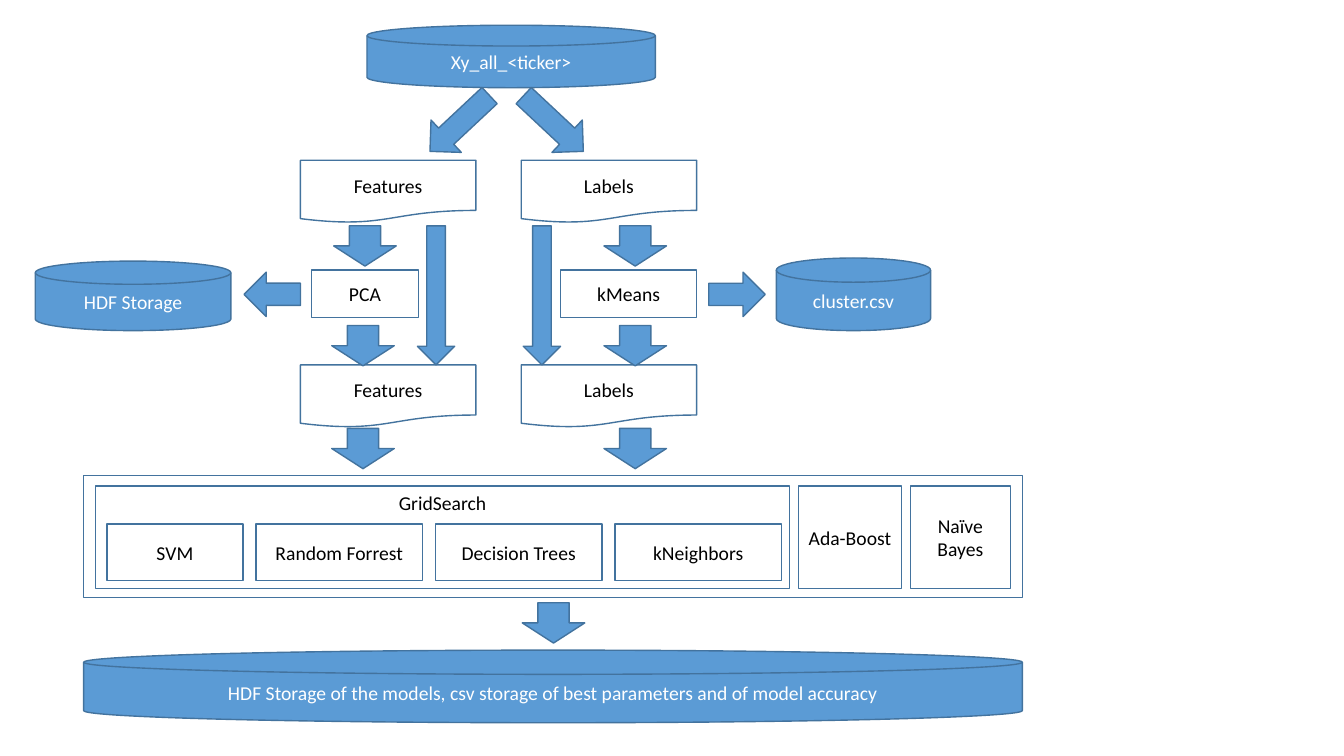
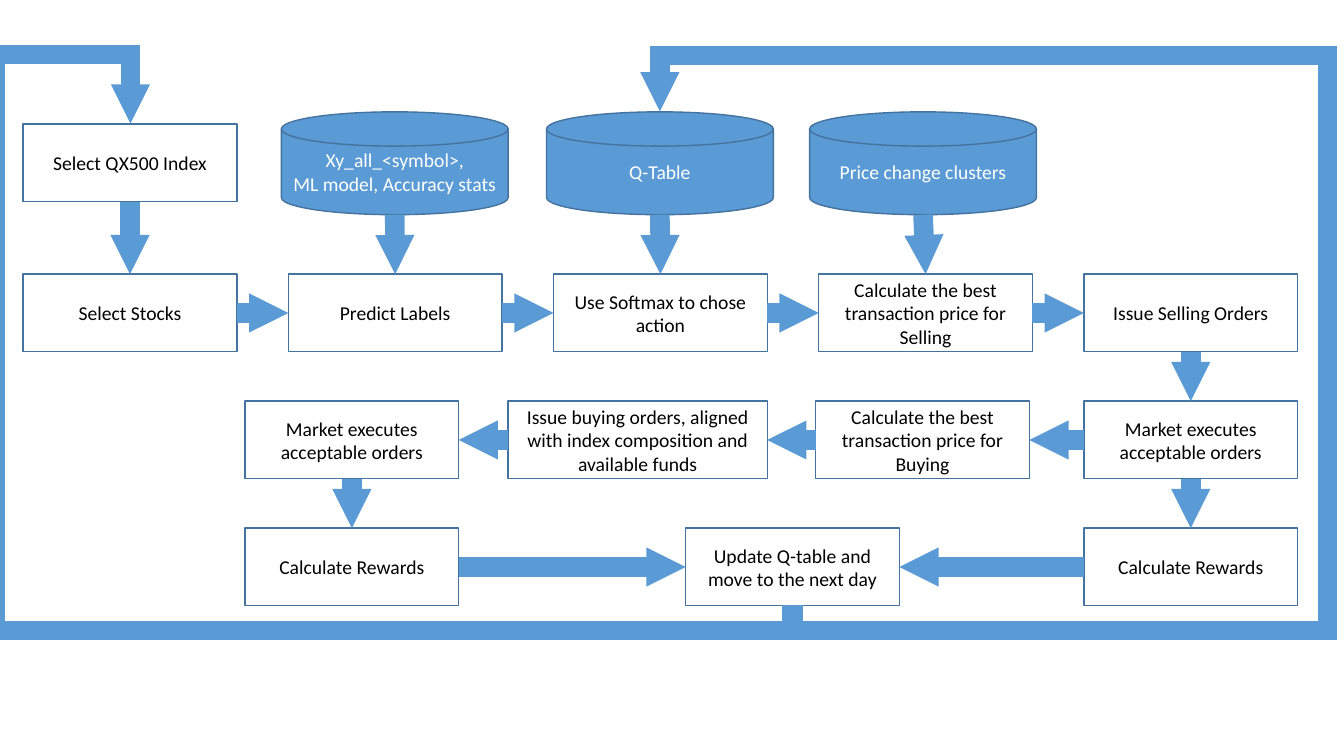
from lxml import etree
from pptx import Presentation
from pptx.dml.color import RGBColor
from pptx.enum.shapes import MSO_CONNECTOR, MSO_SHAPE
from pptx.enum.text import MSO_ANCHOR, PP_ALIGN
from pptx.oxml.ns import qn
from pptx.util import Inches, Pt

RECT = MSO_SHAPE.RECTANGLE
STEP = MSO_SHAPE.FLOWCHART_PROCESS
DISK = MSO_SHAPE.FLOWCHART_MAGNETIC_DISK
PAGE = MSO_SHAPE.FLOWCHART_DOCUMENT
ARROW = MSO_SHAPE.DOWN_ARROW
LINE = MSO_CONNECTOR.STRAIGHT
ELBOW = MSO_CONNECTOR.ELBOW
MIDDLE = MSO_ANCHOR.MIDDLE
TOP = MSO_ANCHOR.TOP
CENTER = PP_ALIGN.CENTER

BLUE, EDGE, WHITE, BLACK = "5B9BD5", "43739E", "FFFFFF", "000000"
FONT = "Calibri"


def paint(fill, tint):
    fill.solid()
    fill.fore_color.rgb = RGBColor.from_string(tint)


def block(text, slide, kind, at, fill=WHITE, ink=BLACK, anchor=MIDDLE, turn=0):
    shape = slide.shapes.add_shape(kind, *map(Inches, at))
    shape.shadow.inherit = False
    shape.rotation = turn
    paint(shape.fill, fill)
    paint(shape.line.fill, EDGE)
    shape.line.width = Pt(1)
    if text:
        frame = shape.text_frame
        frame.word_wrap = True
        frame.vertical_anchor = anchor
        frame.text = text
        for para in frame.paragraphs:
            para.alignment = CENTER
            para.font.name = FONT
            para.font.size = Pt(14)
            paint(para.font.fill, ink)
    return shape


deck = Presentation()
deck.slide_width = Inches(13.33)
deck.slide_height = Inches(7.5)
blank = deck.slide_layouts[6]

train = deck.slides.add_slide(blank)

for text, *at in [
    ("Xy_all_<ticker>", 3.64, 0.25, 2.86, 0.62),
    ("HDF Storage", 0.35, 2.59, 1.94, 0.69),
    ("cluster.csv", 7.7, 2.56, 1.53, 0.72),
    ("HDF Storage of the models, csv storage of best parameters and of model accuracy",
     0.83, 6.45, 9.31, 0.72),
]:
    block(text, train, DISK, at, fill=BLUE, ink=WHITE)

for text, left in [("Features", 2.98), ("Labels", 5.17)]:
    for top in (1.59, 3.62):
        block(text, train, PAGE, (left, top, 1.74, 0.62))

block("PCA", train, STEP, (3.09, 2.68, 1.06, 0.47))
block("kMeans", train, STEP, (5.56, 2.68, 1.35, 0.47))
block("", train, STEP, (0.83, 4.72, 9.31, 1.21))
block("GridSearch", train, STEP, (0.95, 4.82, 6.88, 1.02), anchor=TOP)
block("Ada-Boost", train, STEP, (7.92, 4.82, 1.02, 1.02))
block("Naïve Bayes", train, STEP, (9.03, 4.82, 0.99, 1.02))

left = 1.06
for text, width in [
    ("SVM", 1.35),
    ("Random Forrest", 1.65),
    ("Decision Trees", 1.65),
    ("kNeighbors", 1.65),
]:
    block(text, train, STEP, (left, 5.2, width, 0.56))
    left += width + 0.13

for left, top in [
    (3.31, 2.24), (3.29, 3.23), (3.29, 4.25),
    (5.99, 2.24), (5.99, 3.23), (5.99, 4.25),
    (5.18, 5.98),
]:
    block("", train, ARROW, (left, top, 0.62, 0.4), fill=BLUE)

for left in (4.14, 5.19):
    block("", train, ARROW, (left, 2.24, 0.37, 1.38), fill=BLUE)

for left, top, height, turn in [
    (4.34, 0.82, 0.81, 46.9),
    (5.27, 0.82, 0.81, 313.1),
    (7.09, 2.64, 0.56, 270),
    (2.48, 2.64, 0.56, 90),
]:
    block("", train, ARROW, (left, top, 0.44, height), fill=BLUE, turn=turn)

trade = deck.slides.add_slide(blank)
cols = [0.23 + 2.63 * i for i in range(5)]
rows = [2.72 + 1.26 * i for i in range(3)]
wide, high = 2.12, 0.77

nodes = {}
for name, text, left, top, width in [
    ("index", "Select QX500 Index", cols[0], 1.23, wide),
    ("stocks", "Select Stocks", cols[0], rows[0], wide),
    ("predict", "Predict Labels", cols[1], rows[0], wide),
    ("softmax", "Use Softmax to chose action", cols[2], rows[0], wide),
    ("ask", "Calculate the best transaction price for Selling", cols[3], rows[0], wide),
    ("sell", "Issue Selling Orders", cols[4], rows[0], wide),
    ("sold", "Market executes acceptable orders", cols[4], rows[1], wide),
    ("bid", "Calculate the best transaction price for Buying", 8.09, rows[1], wide),
    ("buy", "Issue buying orders, aligned with index composition and available funds",
     5.04, rows[1], 2.57),
    ("bought", "Market executes acceptable orders", 2.43, rows[1], wide),
    ("gain", "Calculate Rewards", 2.43, rows[2], wide),
    ("profit", "Calculate Rewards", cols[4], rows[2], wide),
    ("update", "Update Q-table and move to the next day", 6.8, rows[2], wide),
]:
    nodes[name] = block(text, trade, RECT, (left, top, width, high))

links = []
for start, out, end, into in [
    ("index", 2, "stocks", 0),
    ("stocks", 3, "predict", 1),
    ("predict", 3, "softmax", 1),
    ("softmax", 3, "ask", 1),
    ("ask", 3, "sell", 1),
    ("sell", 2, "sold", 0),
    ("sold", 1, "bid", 3),
    ("bid", 1, "buy", 3),
    ("buy", 1, "bought", 3),
    ("bought", 2, "gain", 0),
    ("sold", 2, "profit", 0),
    ("gain", 3, "update", 1),
    ("profit", 1, "update", 3),
]:
    link = trade.shapes.add_connector(LINE, 0, 0, 0, 0)
    link.begin_connect(nodes[start], out)
    link.end_connect(nodes[end], into)
    links.append(link)

for text, left, end in [
    ("Xy_all_<symbol>,\nML model, Accuracy stats", 2.79, "predict"),
    ("Q-Table", 5.42, "softmax"),
    ("Price change clusters", 8.03, "ask"),
]:
    disk = block(text, trade, DISK, (left, 1.11, 2.25, 1.02), fill=BLUE, ink=WHITE)
    x, y = disk.left + disk.width // 2, disk.top + disk.height
    link = trade.shapes.add_connector(LINE, x, y, x, y)
    link.end_connect(nodes[end], 0)
    links.append(link)

for left, top, width, height, bends in [
    (4.75, 2.9, 4.9, 1.31, (-5100, -405700, 111300)),
    (2.19, 0.33, 4.78, 6.57, (-5200, 120400, 114300)),
]:
    ends = (left + width, top, left, top + height)
    link = trade.shapes.add_connector(ELBOW, *map(Inches, ends))
    props = link._element.spPr
    props.find(qn("a:xfrm")).set("rot", "5400000")
    geom = props.find(qn("a:prstGeom"))
    geom.set("prst", "bentConnector5")
    guides = geom.find(qn("a:avLst"))
    for i, bend in enumerate(bends, 1):
        etree.SubElement(guides, qn("a:gd"), name=f"adj{i}", fmla=f"val {bend}")
    links.append(link)

for link in links:
    paint(link.line.fill, BLUE)
    link.line.width = Pt(14)
    props = link._element.spPr
    stroke = props.find(qn("a:ln"))
    etree.SubElement(stroke, qn("a:miter"), lim="800000")
    etree.SubElement(stroke, qn("a:tailEnd"), type="triangle", w="sm", len="sm")
    etree.SubElement(props, qn("a:effectLst"))

deck.save("out.pptx")
